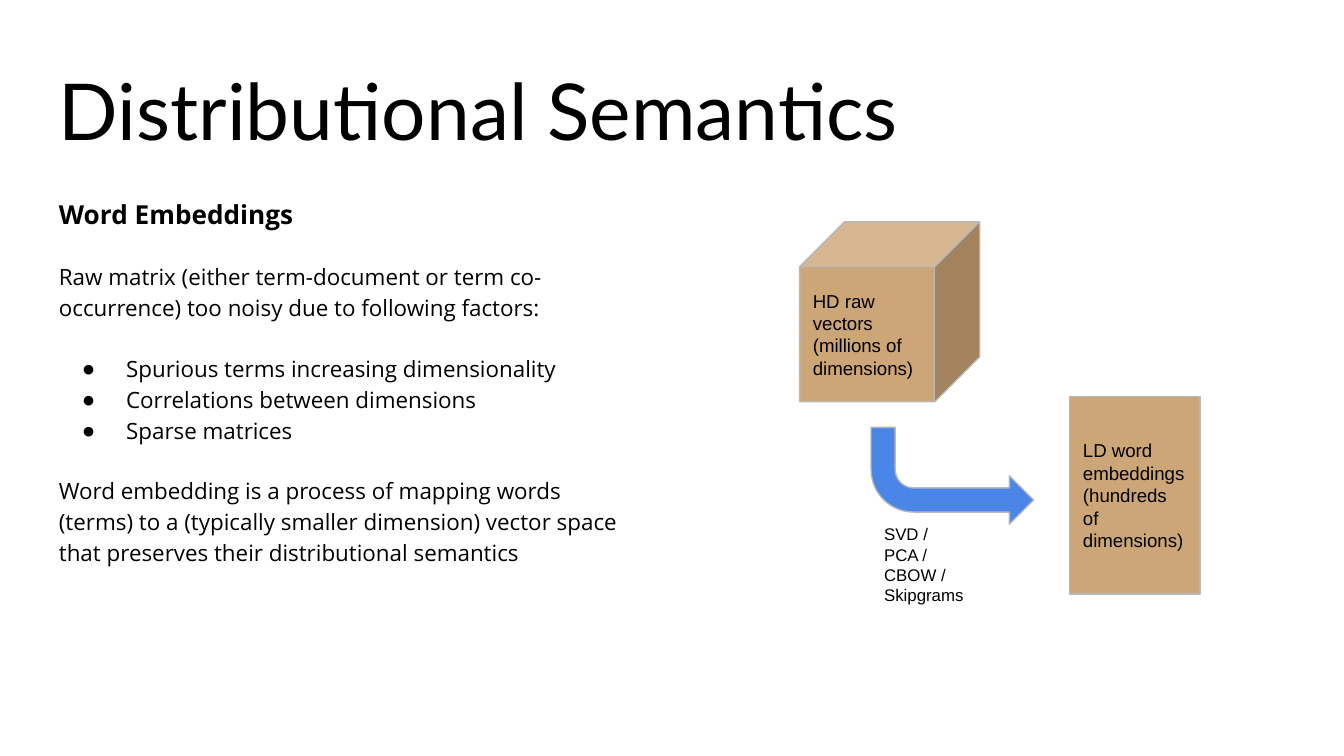
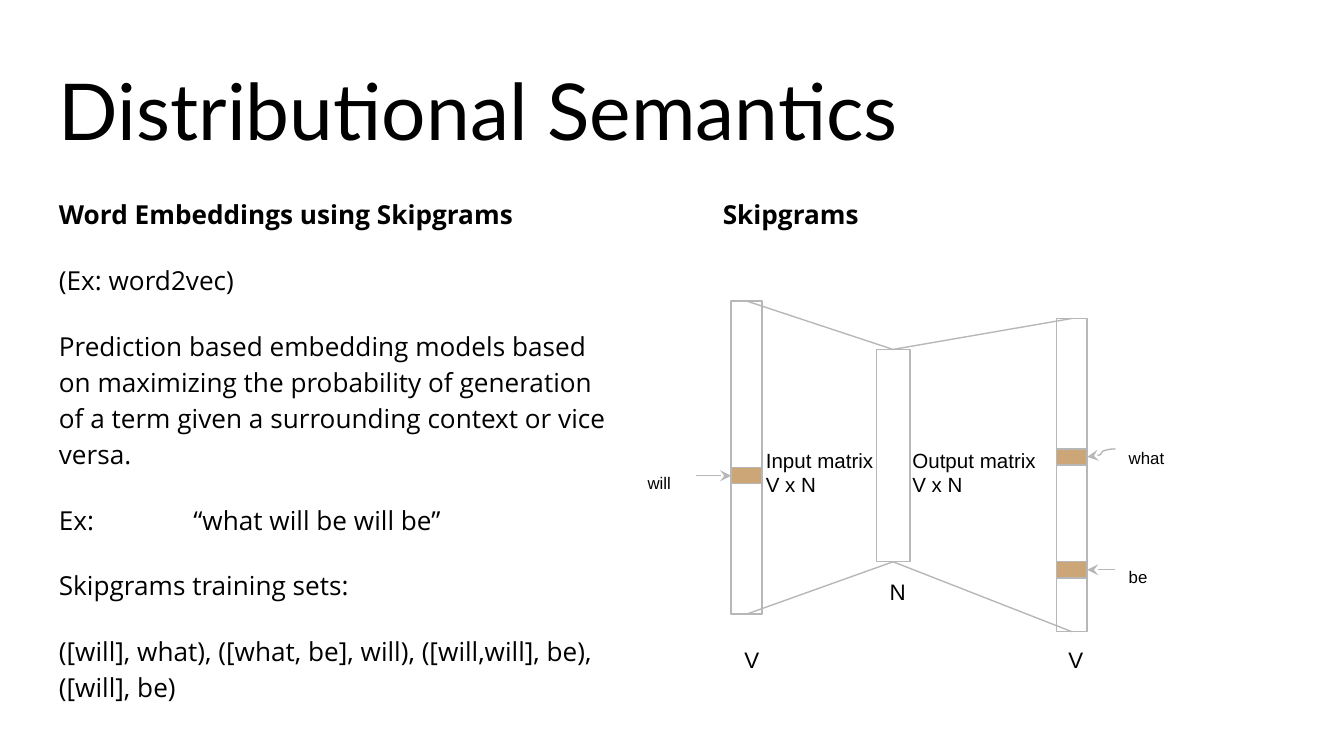
from itertools import pairwise

from lxml.etree import SubElement
from pptx import Presentation
from pptx.dml.color import RGBColor
from pptx.enum.shapes import MSO_CONNECTOR as Connector, MSO_SHAPE as Shape
from pptx.enum.text import MSO_ANCHOR as Anchor, MSO_AUTO_SIZE as AutoSize, PP_ALIGN as Align
from pptx.oxml.ns import qn
from pptx.util import Inches, Pt

COLORS = {"text": "000000", "tan": "CCA677", "blue": "4A86E8", "edge": "B7B7B7"}
TITLE = {"name": "Lato", "size": Pt(42)}
HEADING = {"name": "Open Sans", "size": Pt(14), "bold": True}
BODY = {"name": "Open Sans", "size": Pt(14)}
SMALL_BODY = {"name": "Open Sans", "size": Pt(12)}
AXIS = {"name": "Arial", "size": Pt(12)}
MATRIX = {"name": "Arial", "size": Pt(11)}
BLOCK = {"name": "Arial", "size": Pt(10)}
TAG = {"name": "Arial", "size": Pt(9)}
PLAIN = {"alignment": Align.LEFT}
FIRST = {"line_spacing": 1.15}
SPACED = {"line_spacing": 1.15, "space_before": Pt(16)}
LAST = {**SPACED, "space_after": Pt(16)}
INSET = Inches(0.1)
FRAME = {
    "word_wrap": True,
    "auto_size": AutoSize.NONE,
    "margin_left": INSET,
    "margin_right": INSET,
    "margin_top": INSET,
    "margin_bottom": INSET,
}

TITLE_BOX = (0.34, 0.35, 9.32, 0.91)
BODY_BOX = (0.34, 1.34, 4.37, 3.67)
SIDE_BOX = (5.28, 1.34, 4.37, 0.49)
REDUCTION_BOX = (5.95, 1.65, 2.98, 2.77)
NETWORK_BOX = (5.44, 2.24, 2.65, 2.46)


def set_values(target, values):
    for name, value in values.items():
        setattr(target, name, value)


def place(box, left, top, *size):
    return [Inches(value) for value in (box[0] + left, box[1] + top, *size)]


def add_bullet(paragraph):
    properties = paragraph._p.get_or_add_pPr()
    properties.set("marL", str(Inches(0.5)))
    properties.set("indent", str(-Inches(0.33)))
    color = SubElement(properties, qn("a:buClr"))
    SubElement(color, qn("a:srgbClr"), val=COLORS["text"])
    SubElement(properties, qn("a:buFont"), typeface="Arial")
    SubElement(properties, qn("a:buChar"), char="●")


def add_tab_stop(paragraph):
    stops = SubElement(paragraph._p.get_or_add_pPr(), qn("a:tabLst"))
    SubElement(stops, qn("a:tab"), pos=str(Inches(1)), algn="l")


def write(shape, paragraphs, anchor=Anchor.TOP):
    frame = shape.text_frame
    set_values(frame, {**FRAME, "vertical_anchor": anchor})
    for index, (text, font, spacing, bulleted) in enumerate(paragraphs):
        paragraph = frame.add_paragraph() if index else frame.paragraphs[0]
        if bulleted:
            add_bullet(paragraph)
        if "\t" in text:
            add_tab_stop(paragraph)
        set_values(paragraph, spacing)
        run = paragraph.add_run()
        run.text = text
        set_values(run.font, font)
        run.font.color.rgb = RGBColor.from_string(COLORS["text"])


def plain_lines(lines, font):
    return [(line, font, PLAIN, False) for line in lines]


def add_text(slide, position, paragraphs, anchor=Anchor.TOP):
    write(slide.shapes.add_textbox(*position), paragraphs, anchor)


def style_line(line):
    line.color.rgb = RGBColor.from_string(COLORS["edge"])
    line.width = Pt(0.75)


def add_figure(slide, kind, position, fill=None):
    shape = slide.shapes.add_shape(kind, *position)
    shape.shadow.inherit = False
    if fill:
        shape.fill.solid()
        shape.fill.fore_color.rgb = RGBColor.from_string(COLORS[fill])
    else:
        shape.fill.background()
    style_line(shape.line)
    return shape


def add_link(slide, kind, start, end, arrow=False):
    link = slide.shapes.add_connector(kind, *start, *end)
    style_line(link.line)
    if arrow:
        SubElement(link.line._get_or_add_ln(), qn("a:tailEnd"), type="stealth")
    SubElement(link._element.spPr, qn("a:effectLst"))


def add_title(slide, box):
    paragraphs = plain_lines(["Distributional Semantics"], TITLE)
    add_text(slide, place(box, 0, 0, *box[2:]), paragraphs, Anchor.BOTTOM)


def add_body(slide, box, paragraphs):
    add_text(slide, place(box, 0, 0, *box[2:]), paragraphs)


def add_reduction(slide, box):
    blocks = [
        (Shape.CUBE, (0, 0, 1.34, 1.34), ["HD raw vectors", "(millions of dimensions)"]),
        (Shape.RECTANGLE, (2.01, 1.3, 0.97, 1.47),
         ["LD word embeddings", "(hundreds of dimensions)"]),
    ]
    for kind, position, lines in blocks:
        block = add_figure(slide, kind, place(box, *position), "tan")
        write(block, plain_lines(lines, BLOCK), Anchor.MIDDLE)
    arrow = add_figure(slide, Shape.BENT_ARROW, place(box, 0.53, 1.53, 1.21, 0.72), "blue")
    for index, value in enumerate((0.25, 0.25, 0.25, 0.44)):
        arrow.adjustments[index] = value
    arrow.rotation = 180
    arrow._element.spPr.find(qn("a:xfrm")).set("flipH", "1")
    methods = ["SVD /", "PCA /", "CBOW /", "Skipgrams"]
    add_text(slide, place(box, 0.53, 2.15, 0.97, 0.43), plain_lines(methods, TAG))


def add_network(slide, box):
    layers = [(0, 0, 0.23, 2.33), (1.08, 0.36, 0.25, 1.58), (2.42, 0.13, 0.23, 2.33)]
    for layer in layers:
        add_figure(slide, Shape.RECTANGLE, place(box, *layer))
    for edge in (0, 1):
        corners = [
            place(box, left + width / 2, top + edge * height)
            for left, top, width, height in layers
        ]
        for start, end in pairwise(corners):
            add_link(slide, Connector.STRAIGHT, start, end)

    for name, left in (("Input matrix", 0.16), ("Output matrix", 1.25)):
        add_text(slide, place(box, left, 0.99, 1.25, 0.52), plain_lines([name, "V x N"], MATRIX))
    for name, left, top in (("V", 0, 2.47), ("N", 1.08, 1.96), ("V", 2.41, 2.47)):
        add_text(slide, place(box, left, top, 0.25, 0.36), plain_lines([name], AXIS))

    words = [
        ("will", 0, 1.24, (-0.72, 1.18), (-0.26, 1.3), (0, 1.3)),
        ("what", 2.42, 1.1, (2.86, 0.99), (2.86, 1.1), (2.65, 1.16)),
        ("be", 2.42, 1.94, (2.86, 1.88), (2.86, 2), (2.65, 2)),
    ]
    for word, left, top, label, start, end in words:
        add_figure(slide, Shape.RECTANGLE, place(box, left, top, 0.23, 0.12), "tan")
        add_text(slide, place(box, *label, 0.47, 0.23), plain_lines([word], TAG))
        add_link(slide, Connector.CURVE, place(box, *start), place(box, *end), True)


def build_embeddings(slide):
    add_title(slide, TITLE_BOX)
    add_body(slide, BODY_BOX, [
        ("Word Embeddings", HEADING, FIRST, False),
        ("Raw matrix (either term-document or term co-occurrence) too noisy due to "
         "following factors:", SMALL_BODY, SPACED, False),
        ("Spurious terms increasing dimensionality", SMALL_BODY, SPACED, True),
        ("Correlations between dimensions", SMALL_BODY, FIRST, True),
        ("Sparse matrices", SMALL_BODY, FIRST, True),
        ("Word embedding is a process of mapping words (terms) to a (typically smaller "
         "dimension) vector space that preserves their distributional semantics",
         SMALL_BODY, LAST, False),
    ])
    add_reduction(slide, REDUCTION_BOX)


def build_skipgrams(slide):
    add_title(slide, TITLE_BOX)
    add_body(slide, BODY_BOX, [
        ("Word Embeddings using Skipgrams", HEADING, FIRST, False),
        ("(Ex: word2vec)", BODY, SPACED, False),
        ("Prediction based embedding models based on maximizing the probability of "
         "generation of a term given a surrounding context or vice versa.",
         BODY, SPACED, False),
        ("Ex:\t“what will be will be”", BODY, SPACED, False),
        ("Skipgrams training sets:", BODY, SPACED, False),
        ("([will], what), ([what, be], will), ([will,will], be), ([will], be)",
         BODY, LAST, False),
    ])
    add_body(slide, SIDE_BOX, [("Skipgrams", HEADING, FIRST, False)])
    add_network(slide, NETWORK_BOX)


def main():
    presentation = Presentation()
    presentation.slide_width = Inches(10)
    presentation.slide_height = presentation.slide_width * 9 // 16
    for build in (build_embeddings, build_skipgrams):
        build(presentation.slides.add_slide(presentation.slide_layouts[6]))
    presentation.save("out.pptx")


if __name__ == "__main__":
    main()
